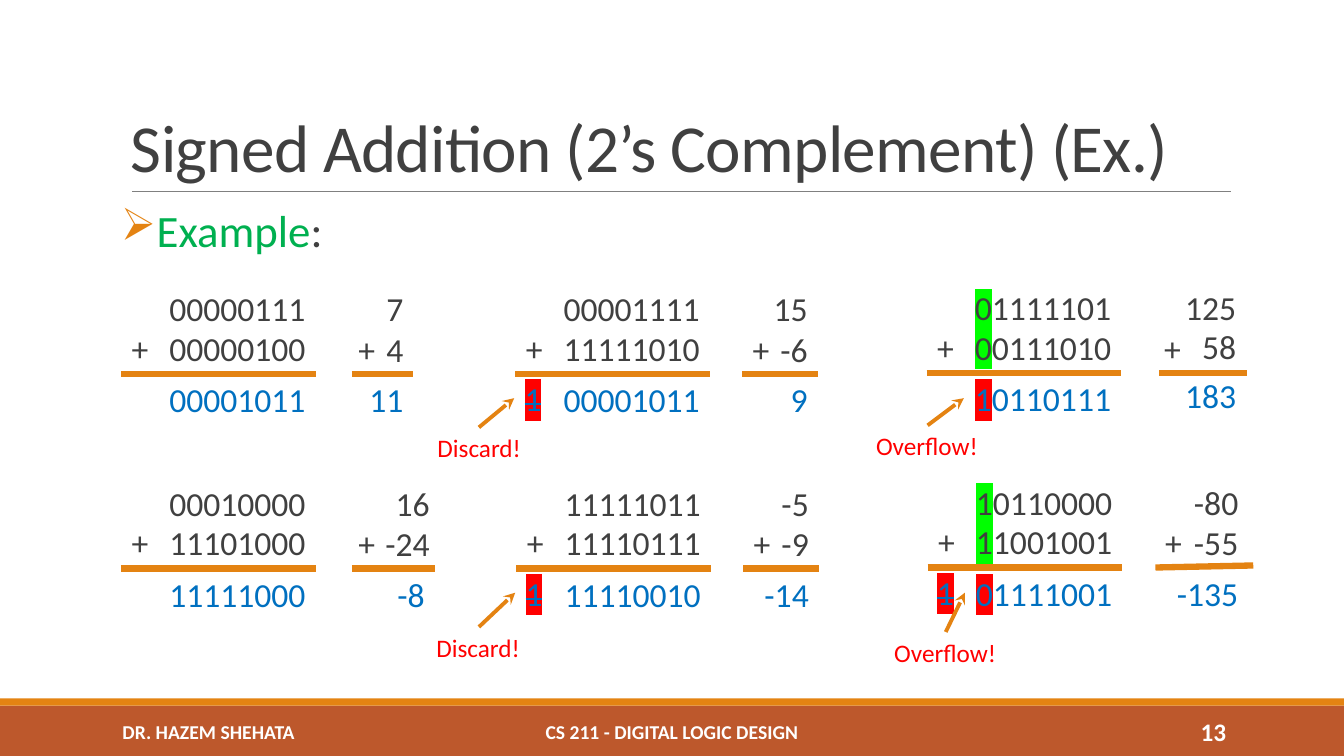
from dataclasses import dataclass

from lxml.etree import SubElement
from pptx import Presentation
from pptx.dml.color import RGBColor
from pptx.enum.shapes import MSO_CONNECTOR, MSO_SHAPE
from pptx.enum.text import MSO_ANCHOR, PP_ALIGN
from pptx.oxml.ns import qn
from pptx.util import Inches, Pt

FONT = "Calibri"
DARK, BLUE, RED, GREEN = "404040", "0070C0", "FF0000", "00FF00"
ORANGE, RUST, WHITE, GRAY = "E48312", "BD582C", "FFFFFF", "808080"
EXAMPLE_GREEN = "00B050"
DIGIT_WIDTH, HYPHEN_WIDTH, PADDING = 0.17, 0.11, 0.2
BINARY_WIDTH, DECIMAL_SHIFT = 1.93, 2.25


@dataclass
class Addition:
    """One signed addition, in binary and in decimal."""
    left: float
    top: float
    binary: tuple
    decimal: tuple
    right: float
    bar: tuple
    carry: bool = False
    overflow: bool = False
    decimal_rows: tuple = (0, 0.4, 0.9)
    bar_rise: float = 0


ADDITIONS = [
    Addition(1.2, 2.81, ("00000111", "00000100", "00001011"),
             ("7", "4", "11"), 4.1, (3.49, 4.1)),
    Addition(5.11, 2.81, ("00001111", "11111010", "00001011"),
             ("15", "-6", "9"), 8.11, (7.36, 8.11), carry=True),
    Addition(9.19, 2.8, ("01111101", "00111010", "10110111"),
             ("125", "58", "183"), 12.36, (11.5, 12.37), overflow=True,
             decimal_rows=(0, 0.38, 0.87)),
    Addition(1.2, 4.74, ("00010000", "11101000", "11111000"),
             ("16", "-24", "-8"), 4.36, (3.49, 4.31)),
    Addition(5.12, 4.74, ("11111011", "11110111", "11110010"),
             ("-5", "-9", "-14"), 8.12, (7.37, 8.12), carry=True),
    Addition(9.2, 4.73, ("10110000", "11001001", "01111001"),
             ("-80", "-55", "-135"), 12.38, (11.46, 12.43), carry=True,
             overflow=True, bar_rise=0.02),
]

CALLOUTS = [
    ("Discard!", 4.24, 4.24, 1.04, (4.75, 4.24), (5.1, 3.95)),
    ("Discard!", 4.23, 6.22, 1.04, (4.75, 6.22), (5.11, 5.88)),
    ("Overflow!", 8.59, 4.22, 1.22, (9.2, 4.22), (9.56, 3.95)),
    ("Overflow!", 8.77, 6.27, 1.22, (9.38, 6.27), (9.57, 5.88)),
]


def color(value):
    """Turn a hex string into a colour."""
    return RGBColor.from_string(value)


def add_band(slide, top, height, fill):
    """Add a full-width band at the foot of the slide."""
    band = slide.shapes.add_shape(MSO_SHAPE.RECTANGLE, 0, Inches(top),
                                  Inches(13.33), Inches(height))
    band.shadow.inherit = False
    band.fill.solid()
    band.fill.fore_color.rgb = color(fill)
    band.line.fill.background()


def add_line(slide, start, end, width, stroke=ORANGE, arrow=False):
    """Add a straight line, with an arrowhead at its end if asked."""
    line = slide.shapes.add_connector(MSO_CONNECTOR.STRAIGHT,
                                      *map(Inches, start + end))
    line.line.color.rgb = color(stroke)
    line.line.width = Pt(width)
    if arrow:
        SubElement(line.line._get_or_add_ln(), qn("a:tailEnd"), type="stealth")
    SubElement(line._element.spPr, qn("a:effectLst"))


def add_text(slide, text, left, top, width, height, size, fill=DARK,
             align=PP_ALIGN.LEFT, anchor=MSO_ANCHOR.TOP, bold=False, wrap=False):
    """Add a one-paragraph text box and return the paragraph."""
    box = slide.shapes.add_textbox(*map(Inches, (left, top, width, height)))
    frame = box.text_frame
    frame.word_wrap = wrap
    frame.vertical_anchor = anchor
    paragraph = frame.paragraphs[0]
    paragraph.alignment = align
    paragraph.add_run().text = text
    paragraph.font.name = FONT
    paragraph.font.size = Pt(size)
    paragraph.font.bold = bold
    paragraph.font.color.rgb = color(fill)
    return paragraph


def highlight(run, fill):
    """Put a highlight behind a run."""
    mark = SubElement(run._r.get_or_add_rPr(), qn("a:highlight"))
    SubElement(mark, qn("a:srgbClr"), val=fill)


def add_number(slide, text, right, top, fill=DARK, mark=None):
    """Add a number that ends at right, its first digit marked if asked."""
    hyphens = text.count("-")
    width = (PADDING + HYPHEN_WIDTH * hyphens
             + DIGIT_WIDTH * (len(text) - hyphens))
    paragraph = add_text(slide, text, right - width, top, width, 0.5, 24, fill,
                         PP_ALIGN.RIGHT)
    first = paragraph.runs[0]
    if mark:
        first.text = text[0]
        highlight(first, mark)
        if text[1:]:
            paragraph.add_run().text = text[1:]
    return first


def add_addition(slide, addition):
    """Draw one addition in both notations."""
    left, top = addition.left, addition.top
    binary_right = left + BINARY_WIDTH
    bar_top = top + 0.9
    fills = (DARK, DARK, BLUE)
    marks = (GREEN, GREEN, RED) if addition.overflow else (None,) * 3
    for bits, row, fill, mark in zip(addition.binary, (0, 0.39, 0.9), fills, marks):
        add_number(slide, bits, binary_right, top + row, fill, mark)
    ends = (addition.right, addition.right, min(addition.right, addition.bar[1]))
    for value, row, fill, end in zip(addition.decimal, addition.decimal_rows,
                                     fills, ends):
        add_number(slide, value, end, top + row, fill)
    for plus_left, row in ((left, 0.39), (left + DECIMAL_SHIFT, 0.4)):
        add_number(slide, "+", plus_left + 0.37, top + row)
    add_line(slide, (left, bar_top), (binary_right, bar_top), 4.5)
    bar_start, bar_end = addition.bar
    add_line(slide, (bar_start, bar_top),
             (bar_end, bar_top - addition.bar_rise), 4.5)
    if addition.carry:
        carry = add_number(slide, "1", left + 0.36, top + 0.89, BLUE, RED)
        carry._r.get_or_add_rPr().set("strike", "sngStrike")


def add_heading(slide):
    """Add the title and the rule under it."""
    add_line(slide, (1.31, 1.9), (12.21, 1.9), 0.5, GRAY)
    title = add_text(slide, "Signed Addition (2’s Complement) (Ex.)", 1.2, 0.31,
                     11, 1.59, 48, anchor=MSO_ANCHOR.BOTTOM, wrap=True)
    title.line_spacing = 0.85
    title.runs[0]._r.get_or_add_rPr().set("spc", "-50")


def add_example_label(slide):
    """Add the bulleted label above the additions."""
    box = slide.shapes.add_textbox(*map(Inches, (1.2, 2.02, 11, 4.4)))
    frame = box.text_frame
    frame.word_wrap = True
    frame.margin_left = frame.margin_right = 0
    paragraph = frame.paragraphs[0]
    paragraph.line_spacing = 0.9
    paragraph.space_after = Pt(2)
    properties = paragraph._p.get_or_add_pPr()
    properties.set("marL", str(Inches(0.1)))
    properties.set("indent", str(Inches(-0.1)))
    bullet_color = SubElement(properties, qn("a:buClr"))
    SubElement(bullet_color, qn("a:srgbClr"), val=ORANGE)
    SubElement(properties, qn("a:buChar"), char="➢")
    paragraph.font.name = FONT
    paragraph.font.size = Pt(32)
    for text, fill in (("Example", EXAMPLE_GREEN), (":", DARK)):
        run = paragraph.add_run()
        run.text = text
        run.font.color.rgb = color(fill)


def add_footer(slide):
    """Add the footer bands and their three texts."""
    add_band(slide, 7, 0.5, RUST)
    add_band(slide, 6.93, 0.07, ORANGE)
    for text, left, width, size, align in (
            ("DR. HAZEM SHEHATA", 0.24, 3.66, 14, PP_ALIGN.CENTER),
            ("CS 211 - DIGITAL LOGIC DESIGN", 4.03, 5.27, 14, PP_ALIGN.CENTER),
            ("13", 10.83, 1.43, 18, PP_ALIGN.RIGHT)):
        add_text(slide, text, left, 7.06, width, 0.4, size, WHITE, align,
                 MSO_ANCHOR.MIDDLE, bold=True, wrap=True)


def main():
    """Build the slide and save it."""
    presentation = Presentation()
    presentation.slide_width = Inches(13.33)
    presentation.slide_height = Inches(7.5)
    slide = presentation.slides.add_slide(presentation.slide_layouts[6])
    add_footer(slide)
    add_heading(slide)
    add_example_label(slide)
    for addition in ADDITIONS:
        add_addition(slide, addition)
    for text, left, top, width, start, end in CALLOUTS:
        add_text(slide, text, left, top, width, 0.4, 18, RED)
        add_line(slide, start, end, 2.75, arrow=True)
    presentation.save("out.pptx")


if __name__ == "__main__":
    main()
